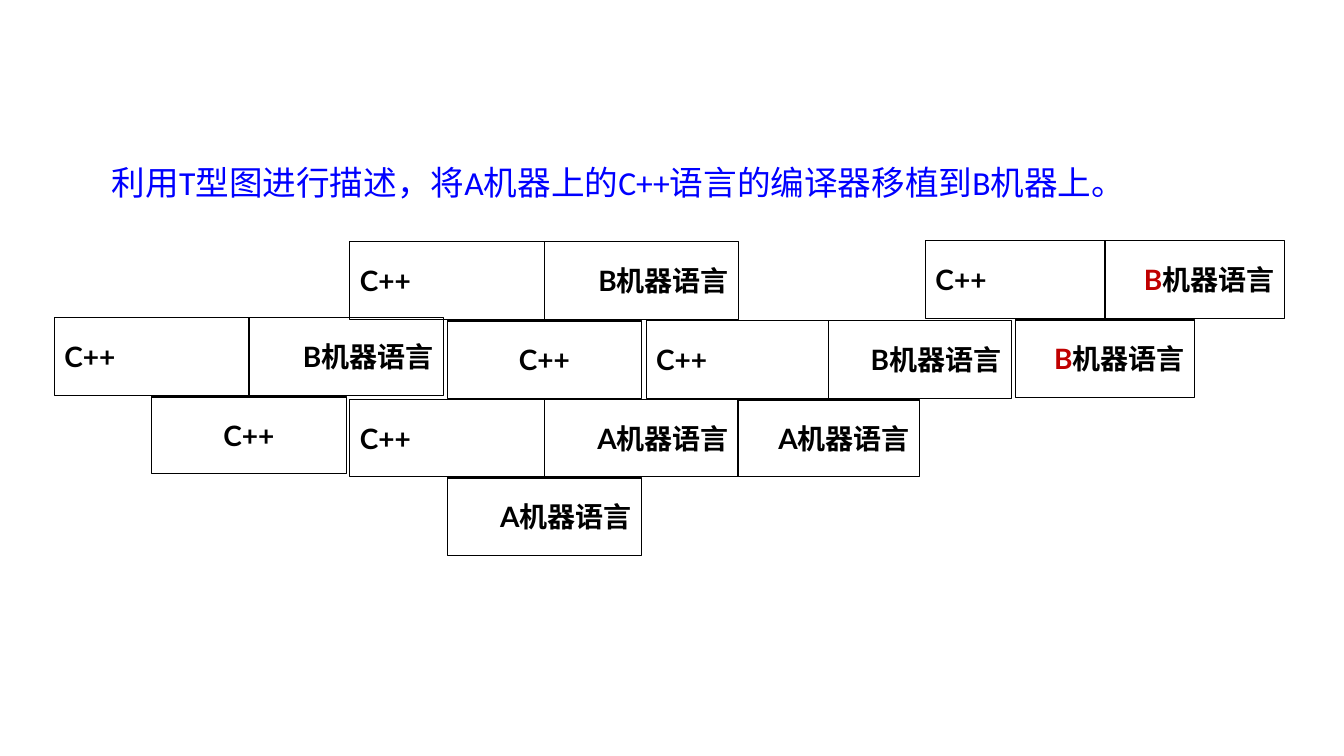
from dataclasses import dataclass

import pptx
import pptx.dml.color
import pptx.enum.lang
import pptx.enum.shapes
import pptx.enum.text
import pptx.oxml
import pptx.util
from pptx.util import Inches

ALIGN = pptx.enum.text.PP_ALIGN
ANCHOR = pptx.enum.text.MSO_ANCHOR
CHINESE = pptx.enum.lang.MSO_LANGUAGE_ID.SIMPLIFIED_CHINESE
BLACK, RED, BLUE = "000000", "C00000", "0000FF"
CELL_HEIGHT = 0.77
LABEL = {"size": pptx.util.Pt(20), "bold": True, "name": "Lato", "language_id": CHINESE}
TITLE = {"size": pptx.util.Pt(24), "bold": False, "name": "Calibri", "language_id": CHINESE}

# A label is a list of (text, colour) runs
Label = list[tuple[str, str]]
CPP: Label = [("C++", BLACK)]
MACHINE_A: Label = [("A机器语言", BLACK)]
MACHINE_B: Label = [("B机器语言", BLACK)]
RED_B: Label = [("B", RED), ("机器语言", BLACK)]


@dataclass
class TDiagram:
    """Source and target cells side by side, implementation cell below."""
    left: float
    top: float
    cell_width: float
    target: Label
    implementation: Label
    implementation_align: ALIGN = ALIGN.RIGHT


DIAGRAMS = [
    TDiagram(0.54, 3.15, 1.93, MACHINE_B, CPP, ALIGN.CENTER),
    TDiagram(3.47, 3.96, 1.93, MACHINE_A, MACHINE_A),
    TDiagram(6.41, 3.18, 1.81, MACHINE_B, MACHINE_A),
    TDiagram(9.18, 2.39, 1.78, RED_B, RED_B),
    TDiagram(3.47, 2.4, 1.93, MACHINE_B, CPP, ALIGN.CENTER),
]


def rgb(colour: str) -> pptx.dml.color.RGBColor:
    return pptx.dml.color.RGBColor.from_string(colour)


def add_run(p, text: str, colour: str, formats: dict) -> None:
    r = p.add_run()
    r.text = text
    for name, value in formats.items():
        setattr(r.font, name, value)
    r.font.color.rgb = rgb(colour)


def format_line(line) -> None:
    line.color.rgb = rgb(BLACK)
    line.width = pptx.util.Pt(0.75)


def add_cell(group, left: float, top: float, width: float, label: Label, align: ALIGN) -> None:
    sp = group.shapes.add_shape(pptx.enum.shapes.MSO_SHAPE.RECTANGLE, Inches(left), Inches(top),
                                Inches(width), Inches(CELL_HEIGHT))
    sp.shadow.inherit = False
    sp.fill.background()
    format_line(sp.line)
    tf = sp.text_frame
    tf.word_wrap = True
    tf.vertical_anchor = ANCHOR.MIDDLE
    p = tf.paragraphs[0]
    p.alignment = align
    for text, colour in label:
        add_run(p, text, colour, LABEL)


def add_line(group, x1: float, y1: float, x2: float, y2: float) -> None:
    line = group.shapes.add_connector(pptx.enum.shapes.MSO_CONNECTOR.STRAIGHT,
                                      Inches(x1), Inches(y1), Inches(x2), Inches(y2))
    format_line(line.line)
    line._element.spPr.append(pptx.oxml.parse_xml(
        '<a:effectLst xmlns:a="http://schemas.openxmlformats.org/drawingml/2006/main"/>'))


def add_diagram(s, d: TDiagram) -> None:
    group = s.shapes.add_group_shape()
    middle = d.left + d.cell_width
    stem_left = d.left + d.cell_width / 2
    stem_top = d.top + CELL_HEIGHT + 0.01
    add_cell(group, d.left, d.top, d.cell_width, CPP, ALIGN.LEFT)
    add_cell(group, middle, d.top, d.cell_width, d.target, ALIGN.RIGHT)
    add_cell(group, stem_left, stem_top, d.cell_width, d.implementation, d.implementation_align)
    # Joint above the stem and divider between the upper cells
    add_line(group, stem_left, stem_top + 0.01, stem_left + d.cell_width, stem_top + 0.01)
    add_line(group, middle, d.top, middle, d.top + CELL_HEIGHT)


def add_title(s, text: str) -> None:
    sp = s.shapes.title
    sp.left, sp.top, sp.width, sp.height = (Inches(v) for v in (1.01, 1.56, 10.71, 0.5))
    tf = sp.text_frame
    tf.word_wrap = True
    tf.auto_size = pptx.enum.text.MSO_AUTO_SIZE.NONE
    tf.vertical_anchor = ANCHOR.TOP
    p = tf.paragraphs[0]
    p.alignment = ALIGN.LEFT
    add_run(p, text, BLUE, TITLE)


def main() -> None:
    prs = pptx.Presentation()
    prs.slide_width, prs.slide_height = Inches(13.33), Inches(7.5)
    s = prs.slides.add_slide(prs.slide_layouts.get_by_name("Title Only"))
    add_title(s, "利用T型图进行描述，将A机器上的C++语言的编译器移植到B机器上。")
    for diagram in DIAGRAMS:
        add_diagram(s, diagram)
    prs.save("out.pptx")


if __name__ == "__main__":
    main()
